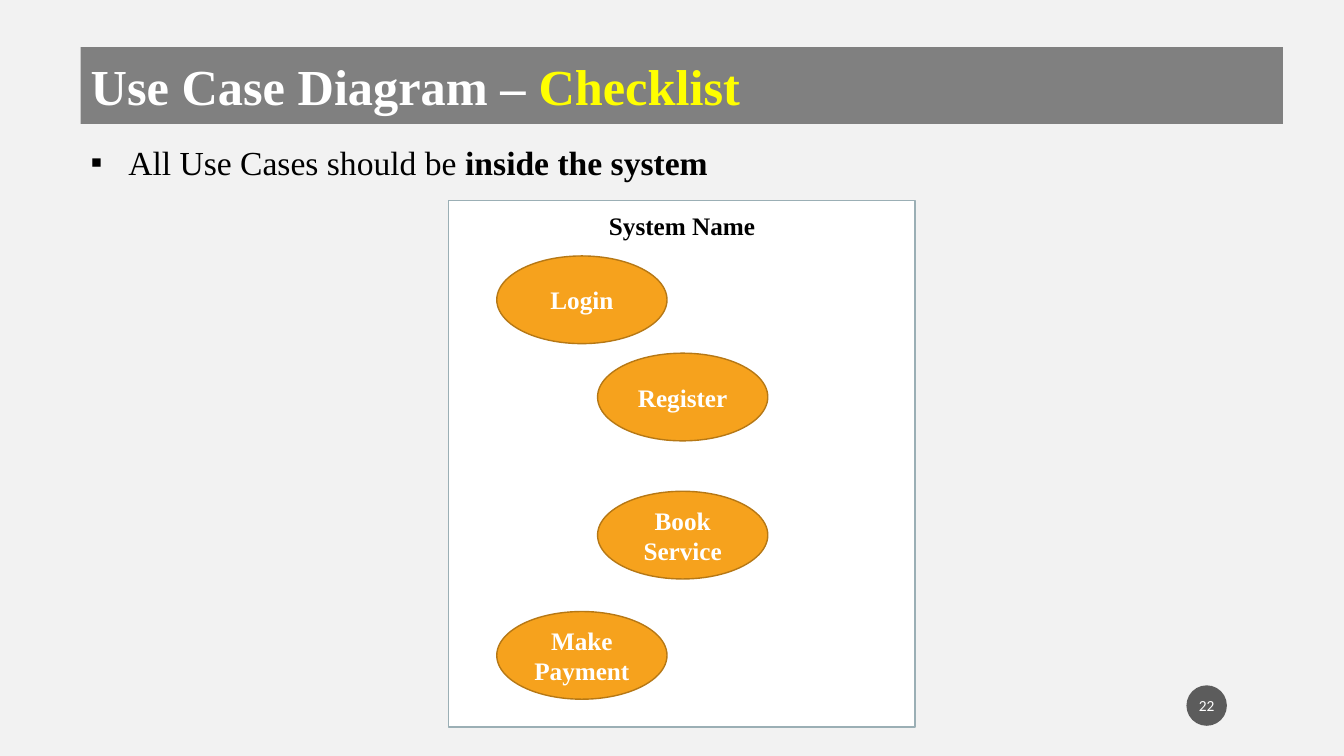
from lxml.etree import SubElement
from pptx import Presentation
from pptx.dml.color import RGBColor
from pptx.enum.shapes import MSO_SHAPE
from pptx.enum.text import MSO_ANCHOR, MSO_AUTO_SIZE, PP_ALIGN
from pptx.oxml.ns import qn
from pptx.util import Cm, Pt

TITLE = [("Use Case Diagram – ", "white"), ("Checklist", "yellow")]
RULE = [("All Use Cases should be ", False), ("inside the system", True)]
SYSTEM = "System Name"
CASES = [  # name, column, top in cm
    ("Login", 0, 6.45),
    ("Register", 1, 8.9),
    ("Book Service", 1, 12.38),
    ("Make Payment", 0, 15.41),
]
PAGE = "22"

COLORS = {
    "back": "F2F2F2", "bar": "808080", "white": "FFFFFF", "yellow": "FFFF00",
    "black": "000000", "frame": "9BAFB5", "case": "F6A21D", "edge": "B67815",
    "badge": "1D1D1D",
}
SERIF = "Times New Roman"
LEFT, WIDTH = 2.03, 30.3
COL_X, COL_STEP = 12.52, 2.54
CASE_W, CASE_H = 4.29, 2.21


def color(name):
    return RGBColor.from_string(COLORS[name])


def style(font, size, ink, bold=None, face=SERIF):
    font.name, font.size, font.bold = face, Pt(size), bold
    font.color.rgb = color(ink)


def place(shape, x, y, w, h):
    shape.left, shape.top, shape.width, shape.height = map(Cm, (x, y, w, h))


def paint(shape, fill):
    shape.fill.solid()
    shape.fill.fore_color.rgb = color(fill)


def draw(parent, kind, box, fill, edge=None):
    shape = parent.add_shape(kind, *map(Cm, box))
    shape.shadow.inherit = False
    paint(shape, fill)
    if edge:
        shape.line.color.rgb = color(edge)
        shape.line.width = Pt(1)
    else:
        shape.line.fill.background()
    return shape


def label(shape, text, size, ink, **look):
    frame = shape.text_frame
    frame.word_wrap = True
    frame.vertical_anchor = MSO_ANCHOR.MIDDLE
    para = frame.paragraphs[0]
    para.text = text
    para.alignment = PP_ALIGN.CENTER
    style(para.font, size, ink, **look)


def add_title(slide):
    title = slide.shapes.title
    place(title, LEFT, 1.19, WIDTH, 1.93)
    paint(title, "bar")
    frame = title.text_frame
    frame.auto_size = MSO_AUTO_SIZE.NONE
    frame.vertical_anchor = MSO_ANCHOR.MIDDLE
    para = frame.paragraphs[0]
    para.alignment = PP_ALIGN.LEFT
    style(para.font, 36, "white", bold=True)
    for text, ink in TITLE:
        run = para.add_run()
        run.text = text
        run.font.color.rgb = color(ink)


def add_rule(slide):
    body = slide.placeholders[1]
    place(body, LEFT, 3.45, WIDTH, 1.27)
    body.text_frame.auto_size = MSO_AUTO_SIZE.NONE
    para = body.text_frame.paragraphs[0]
    props = para._p.get_or_add_pPr()
    props.set("marL", str(Cm(0.95)))
    props.set("indent", str(Cm(-0.95)))
    SubElement(props, qn("a:buFont")).set("typeface", SERIF)
    SubElement(props, qn("a:buChar")).set("char", "▪")
    para.alignment = PP_ALIGN.JUSTIFY
    para.space_before, para.space_after = Pt(0), Pt(6)
    style(para.font, 24, "black")
    for text, bold in RULE:
        run = para.add_run()
        run.text = text
        run.font.bold = bold


def add_system(slide):
    group = slide.shapes.add_group_shape().shapes
    draw(group, MSO_SHAPE.RECTANGLE, (11.3, 5.06, 11.76, 13.26), "white", "frame")
    for name, col, top in CASES:
        box = (COL_X + col * COL_STEP, top, CASE_W, CASE_H)
        case = draw(group, MSO_SHAPE.OVAL, box, "case", "edge")
        label(case, name, 18, "white", bold=True)
    head = draw(group, MSO_SHAPE.RECTANGLE, (13.61, 5.14, 7.16, 1.09), "white", "white")
    label(head, SYSTEM, 18, "black", bold=True)


def add_badge(slide):
    badge = draw(slide.shapes, MSO_SHAPE.OVAL, (29.9, 17.27, 1.02, 1.02), "badge")
    tint = badge.fill._xPr.find(".//" + qn("a:srgbClr"))
    SubElement(tint, qn("a:alpha")).set("val", "70000")
    label(badge, PAGE, 11, "white", face="Calibri")
    badge.text_frame.margin_left = badge.text_frame.margin_right = Cm(0.05)


def main():
    deck = Presentation()
    deck.slide_width, deck.slide_height = Cm(33.87), Cm(19.05)
    slide = deck.slides.add_slide(deck.slide_layouts[1])
    slide.background.fill.solid()
    slide.background.fill.fore_color.rgb = color("back")
    add_badge(slide)
    add_title(slide)
    add_rule(slide)
    add_system(slide)
    deck.save("out.pptx")


if __name__ == "__main__":
    main()
